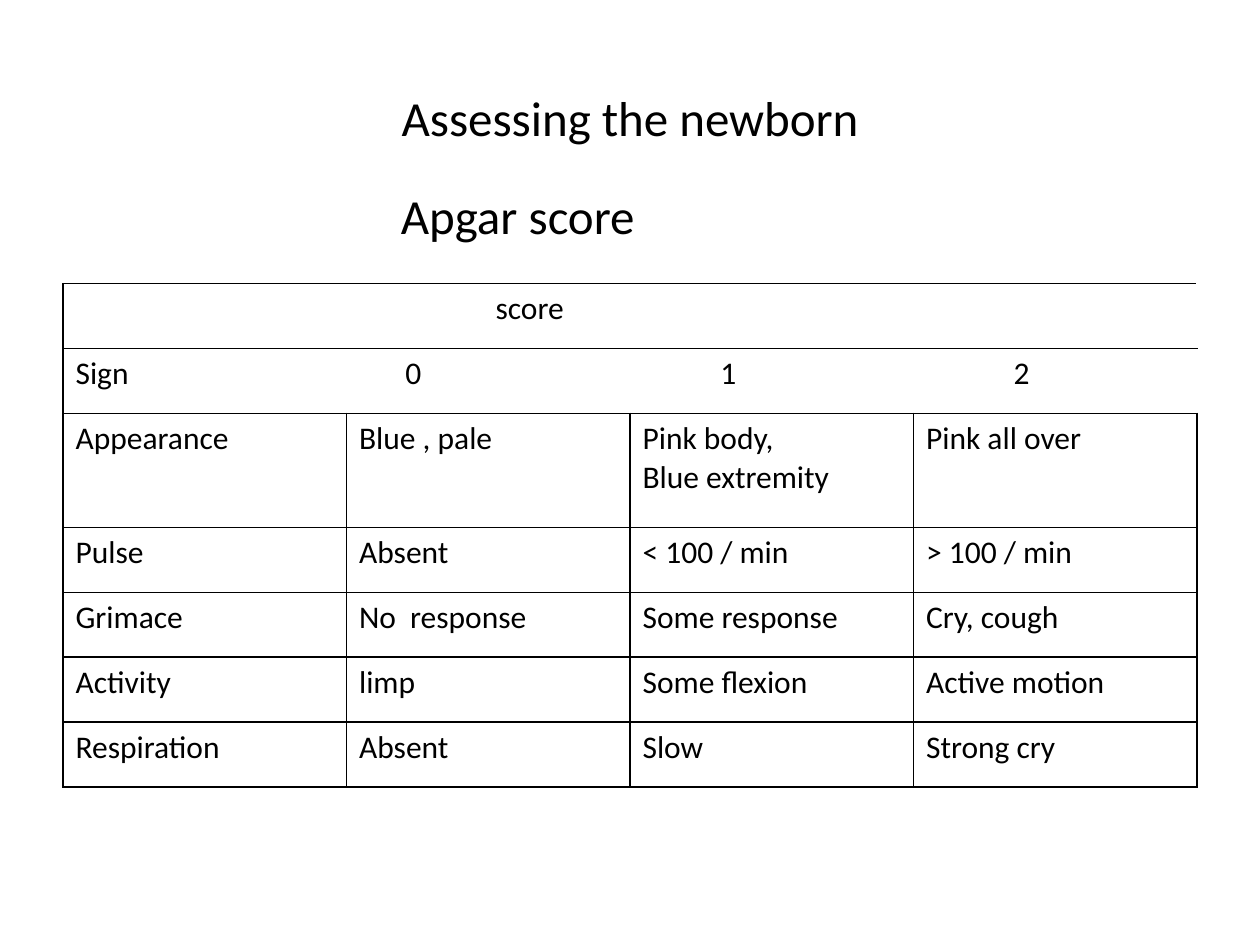
"""Build the slide on assessing the newborn with the Apgar score table."""
import lxml.etree
import pptx
import pptx.dml.color
import pptx.enum.text
import pptx.oxml.ns
import pptx.util

Pt = pptx.util.Pt
ANCHOR = pptx.enum.text.MSO_ANCHOR
ALIGN = pptx.enum.text.PP_ALIGN
BLACK = "000000"

HEADINGS = [
    ("Assessing the newborn", (36, 21.6, 648, 90), ANCHOR.MIDDLE, ALIGN.CENTER),
    ("Apgar score", (222, 102.4, 366, 41.2), ANCHOR.TOP, ALIGN.LEFT),
]
MERGED_ROWS = [
    ("\tscore", [240]),
    ("Sign\t0\t1\t2", [188.5, 368.5, 536]),
]
SIGN_ROWS = [
    ("Appearance", "Blue , pale", "Pink body,\nBlue extremity", "Pink all over"),
    ("Pulse", "Absent", "< 100 / min", "> 100 / min"),
    ("Grimace", "No  response", "Some response", "Cry, cough"),
    ("Activity", "limp", "Some flexion", "Active motion"),
    ("Respiration", "Absent", "Slow", "Strong cry"),
]
TABLE_LEFT, TABLE_TOP, COLUMN_WIDTH = 36, 162, 162
ROW_HEIGHTS = [37.1, 37.1, 65.2, 37.1, 37.1, 37.1, 37.1]
COLUMNS = len(SIGN_ROWS[0])


def color(code):
    return pptx.dml.color.RGBColor.from_string(code)


def add_element(parent, tag, **attributes):
    element = lxml.etree.SubElement(parent, pptx.oxml.ns.qn(tag))
    for name, value in attributes.items():
        element.set(name, str(value))
    return element


def write(frame, text, size, align=ALIGN.LEFT, stops=()):
    frame.word_wrap = True
    frame.text = text
    for para in frame.paragraphs:
        para.alignment = align
        if stops:
            tabs = add_element(para._p.get_or_add_pPr(), "a:tabLst")
            for stop in stops:
                add_element(tabs, "a:tab", pos=int(Pt(stop)), algn="l")
        for span in para.runs:
            for name, value in {"name": "Calibri", "size": Pt(size)}.items():
                setattr(span.font, name, value)
            span.font.color.rgb = color(BLACK)


def add_borders(cell, sides):
    properties = cell._tc.get_or_add_tcPr()
    for side in sides:
        line = add_element(properties, "a:ln" + side, w=int(Pt(1)))
        add_element(add_element(line, "a:solidFill"), "a:srgbClr", val=BLACK)
    cell.fill.background()


def add_score_table(page):
    frame = page.shapes.add_table(
        len(ROW_HEIGHTS), COLUMNS, Pt(TABLE_LEFT), Pt(TABLE_TOP),
        Pt(COLUMN_WIDTH * COLUMNS), Pt(sum(ROW_HEIGHTS)))
    table = frame.table
    table.first_row = table.horz_banding = False
    for column in table.columns:
        column.width = Pt(COLUMN_WIDTH)
    for index, height in enumerate(ROW_HEIGHTS):
        table.rows[index].height = Pt(height)
        merged = index < len(MERGED_ROWS)
        for place in range(COLUMNS):
            left = "" if merged and place > 0 else "L"
            right = "" if merged and place < COLUMNS - 1 else "R"
            add_borders(table.cell(index, place), left + right + "TB")
    for index, (text, stops) in enumerate(MERGED_ROWS):
        table.cell(index, 0).merge(table.cell(index, COLUMNS - 1))
        write(table.cell(index, 0).text_frame, text, 18, stops=stops)
    for index, texts in enumerate(SIGN_ROWS, len(MERGED_ROWS)):
        for place, text in enumerate(texts):
            write(table.cell(index, place).text_frame, text, 18)


def main():
    deck = pptx.Presentation()
    deck.slide_width, deck.slide_height = Pt(720), Pt(540)
    page = deck.slides.add_slide(deck.slide_layouts[6])
    for text, bounds, anchor, align in HEADINGS:
        box = page.shapes.add_textbox(*map(Pt, bounds))
        box.text_frame.vertical_anchor = anchor
        write(box.text_frame, text, 28, align)
    add_score_table(page)
    deck.save("out.pptx")


if __name__ == "__main__":
    main()
